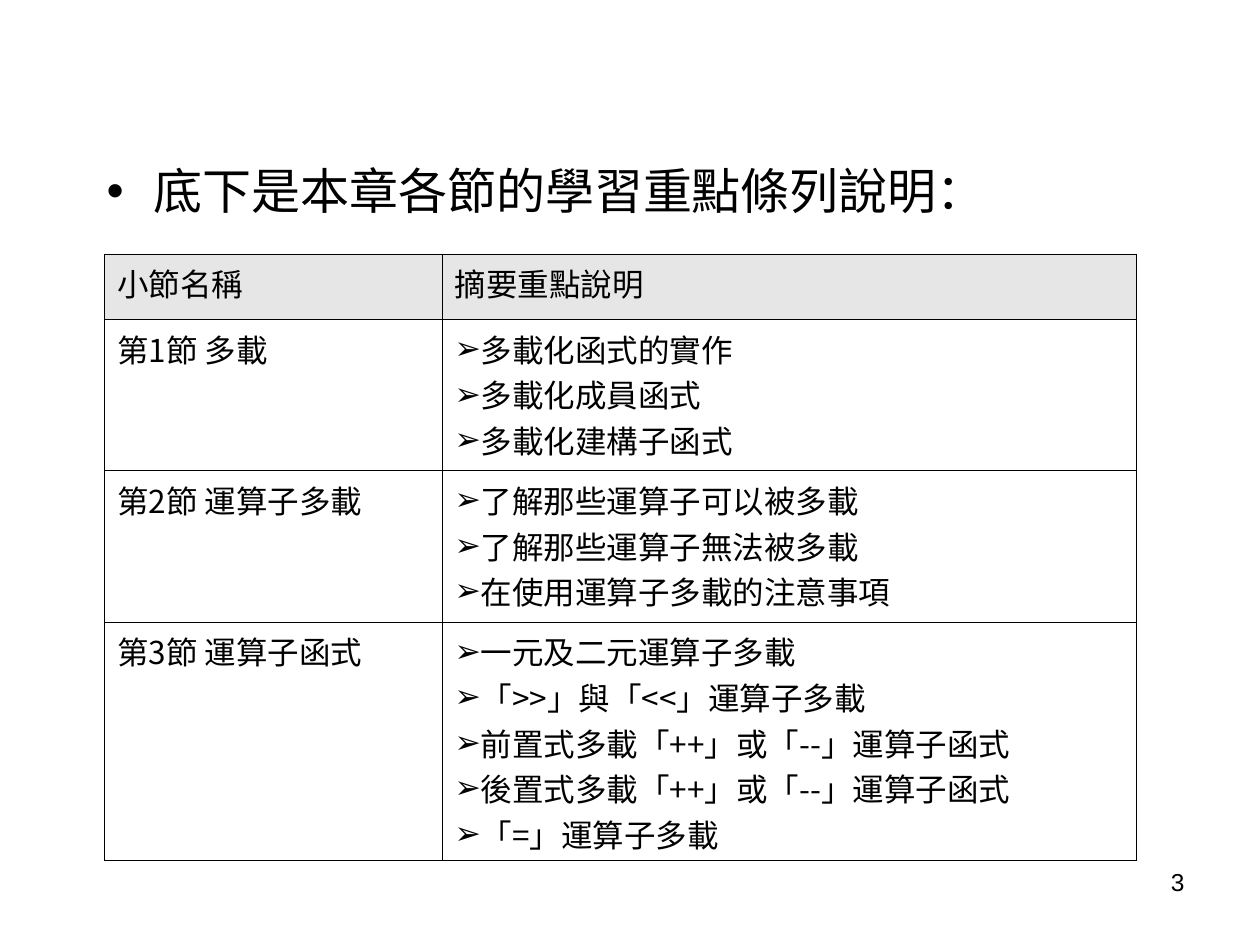
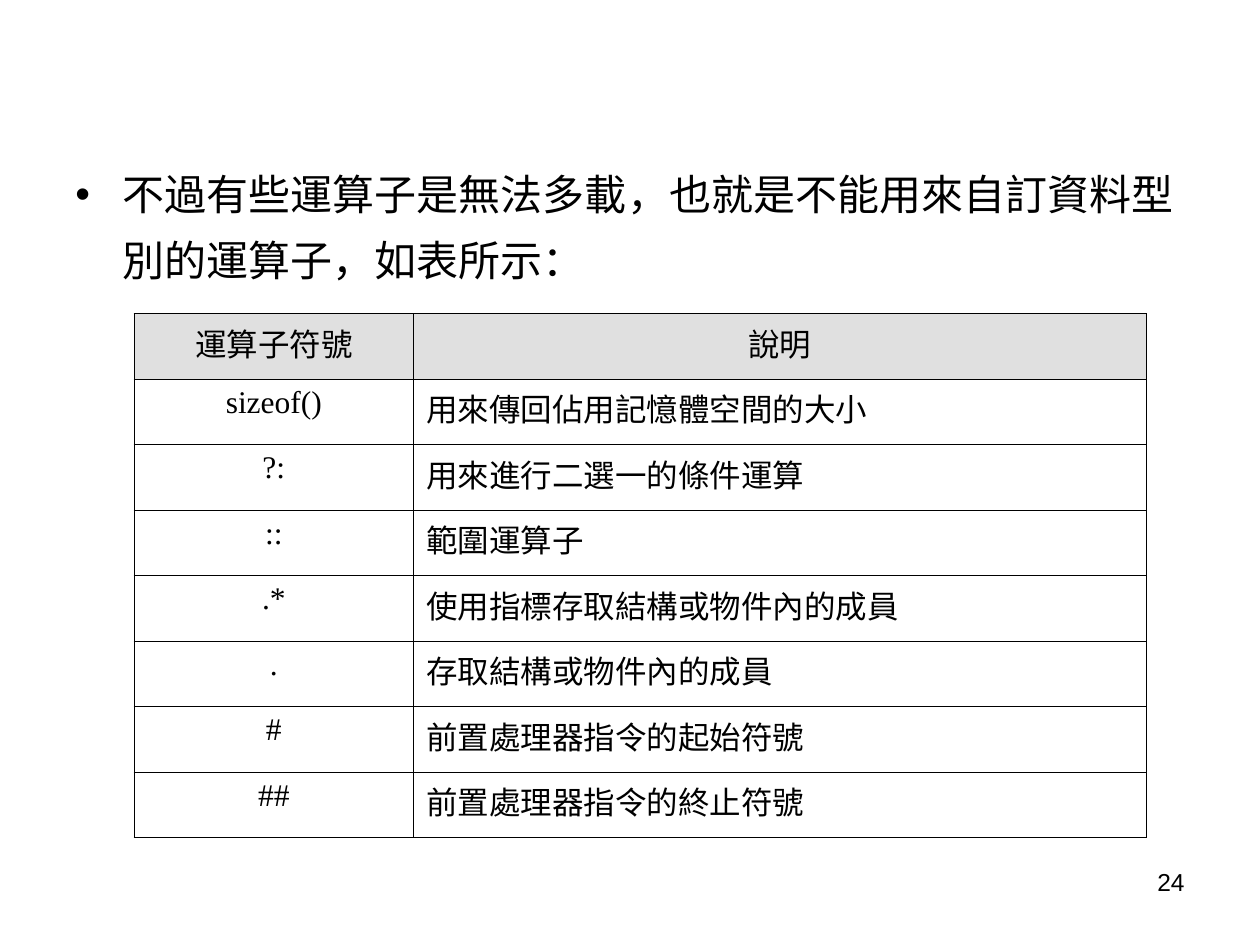
import pptx
import pptx.dml.color
import pptx.enum.text
import pptx.oxml.ns
import pptx.util
from lxml import etree

Cm, Pt = pptx.util.Cm, pptx.util.Pt
Align = pptx.enum.text.PP_ALIGN
qn = pptx.oxml.ns.qn


def paint(text):
    return pptx.dml.color.RGBColor.from_string(text)


class Deck:
    INK = "000000"
    SANS = "Arial"
    HAN = "Noto Sans CJK SC"
    SERIF = "Times New Roman"
    RULE = Pt(0.45)

    def __init__(self):
        self.show = pptx.Presentation()
        self.show.slide_width, self.show.slide_height = Cm(25.4), Cm(19.05)
        self.slide = None

    def page(self, number):
        self.slide = self.show.slides.add_slide(self.show.slide_layouts[6])
        para = self.box(18.21, 17.35, 5.92, 1.32)
        para.alignment = Align.RIGHT
        self.run(para, number, 14, self.SANS)

    def box(self, left, top, width, height):
        """Add a text box and return its first paragraph."""
        shape = self.slide.shapes.add_textbox(Cm(left), Cm(top), Cm(width), Cm(height))
        shape.text_frame.word_wrap = True
        return shape.text_frame.paragraphs[0]

    def run(self, para, text, size, face):
        run = para.add_run()
        run.text = text
        run.font.size = Pt(size)
        run.font.name = face
        run.font.color.rgb = paint(self.INK)
        etree.SubElement(run._r.get_or_add_rPr(), qn("a:ea"), typeface=self.HAN)

    def mark(self, para, sign, hang=0):
        """Give a paragraph a bullet sign with a hanging indent in cm."""
        props = para._p.get_or_add_pPr()
        props.set("marL", str(Cm(hang)))
        props.set("indent", str(-Cm(hang)))
        color = etree.SubElement(props, qn("a:buClr"))
        etree.SubElement(color, qn("a:srgbClr"), val=self.INK)
        etree.SubElement(props, qn("a:buFont"), typeface=self.SANS)
        etree.SubElement(props, qn("a:buChar"), char=sign)

    def lead(self, place, text, size, align=Align.LEFT, pitch=1.0):
        para = self.box(*place)
        self.mark(para, "•", 0.95)
        para.alignment = align
        para.line_spacing = pitch
        self.run(para, text, size, self.SANS)

    def frame(self, cell):
        """Draw a thin line on all four sides of a cell."""
        props = cell._tc.get_or_add_tcPr()
        for spot, side in enumerate("LRTB"):
            line = etree.Element(qn("a:ln" + side), w=str(self.RULE))
            fill = etree.SubElement(line, qn("a:solidFill"))
            etree.SubElement(fill, qn("a:srgbClr"), val=self.INK)
            props.insert(spot, line)

    def cell(self, cell, items, face, align, shade):
        """Fill a cell; a list of items gets arrow bullets."""
        if shade:
            cell.fill.solid()
            cell.fill.fore_color.rgb = paint(shade)
        else:
            cell.fill.background()
        self.frame(cell)
        listed = isinstance(items, list)
        frame = cell.text_frame
        for spot, text in enumerate(items if listed else [items]):
            para = frame.add_paragraph() if spot else frame.paragraphs[0]
            if listed:
                self.mark(para, "➢")
            para.alignment = align
            self.run(para, text, 18, face)

    def table(self, left, top, widths, heights, rows, face, shade, aligns, heads):
        """Add a table; aligns holds for body columns, heads for the first row."""
        grid = self.slide.shapes.add_table(
            len(rows), len(widths), Cm(left), Cm(top),
            Cm(sum(widths)), Cm(sum(heights))).table
        grid.first_row = grid.horz_banding = False
        for col, width in zip(grid.columns, widths):
            col.width = Cm(width)
        for spot, (row, height) in enumerate(zip(rows, heights)):
            grid.rows[spot].height = Cm(height)
            for col, items in enumerate(row):
                align = aligns[col] if spot else heads
                self.cell(grid.cell(spot, col), items, face, align,
                          None if spot else shade)


TOPICS = [
    ("小節名稱", "摘要重點說明"),
    ("第1節 多載", ["多載化函式的實作", "多載化成員函式", "多載化建構子函式"]),
    ("第2節 運算子多載", ["了解那些運算子可以被多載", "了解那些運算子無法被多載",
                   "在使用運算子多載的注意事項"]),
    ("第3節 運算子函式", ["一元及二元運算子多載", "「>>」與「<<」運算子多載",
                   "前置式多載「++」或「--」運算子函式",
                   "後置式多載「++」或「--」運算子函式", "「=」運算子多載"]),
]

SIGNS = [
    ("運算子符號", "說明"),
    ("sizeof()", "用來傳回佔用記憶體空間的大小"),
    ("?:", "用來進行二選一的條件運算"),
    ("::", "範圍運算子"),
    (".*", "使用指標存取結構或物件內的成員"),
    (".", "存取結構或物件內的成員"),
    ("#", "前置處理器指令的起始符號"),
    ("##", "前置處理器指令的終止符號"),
]


def main():
    deck = Deck()

    deck.page("3")
    deck.lead((1.9, 3.12, 21.2, 13.79), "底下是本章各節的學習重點條列說明：", 28)
    deck.table(2.11, 5.12, (6.8, 14.0), (1.32, 3.05, 3.05, 4.8), TOPICS,
               deck.HAN, "E6E6E6", (Align.LEFT, Align.LEFT), Align.LEFT)

    deck.page("24")
    deck.lead((1.27, 2.97, 22.63, 13.97),
              "不過有些運算子是無法多載，也就是不能用來自訂資料型別的運算子，如表所示：",
              24, Align.JUSTIFY, 1.3)
    deck.table(2.7, 6.32, (5.64, 14.76), [1.32] * len(SIGNS), SIGNS,
               deck.SERIF, "E0E0E0", (Align.CENTER, Align.LEFT), Align.CENTER)

    deck.show.save("out.pptx")


if __name__ == "__main__":
    main()
